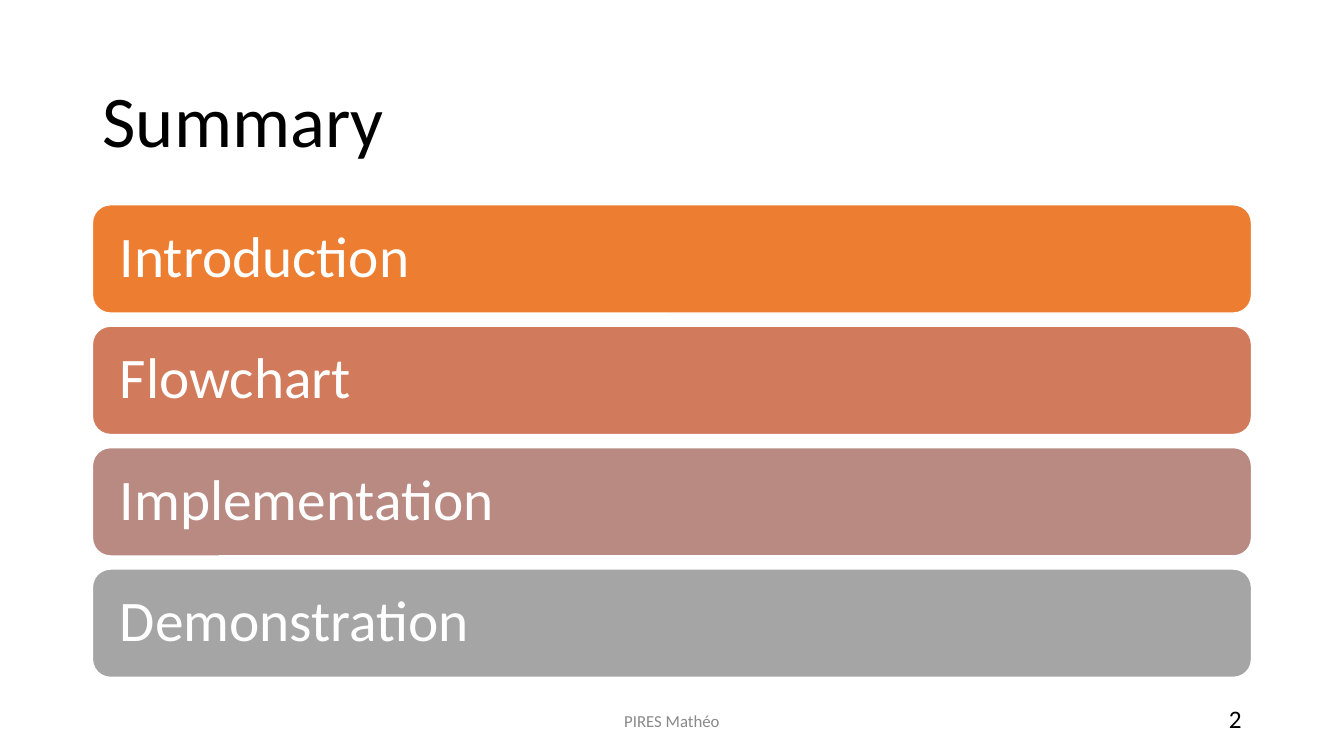
from dataclasses import dataclass

from pptx import Presentation
from pptx.dml.color import RGBColor
from pptx.enum.shapes import MSO_SHAPE
from pptx.enum.text import MSO_ANCHOR, MSO_AUTO_SIZE, PP_ALIGN
from pptx.slide import Slide
from pptx.text.text import TextFrame
from pptx.util import Cm, Pt

FONT = "Calibri"
BLACK = RGBColor(0x00, 0x00, 0x00)
WHITE = RGBColor(0xFF, 0xFF, 0xFF)
FOOTER_GREY = RGBColor(0x89, 0x89, 0x89)
ORANGE = RGBColor(0xED, 0x7D, 0x31)
TERRACOTTA = RGBColor(0xD1, 0x7B, 0x5C)
DUSTY_ROSE = RGBColor(0xB9, 0x8A, 0x82)
GREY = RGBColor(0xA5, 0xA5, 0xA5)

# Content column and the rhythm of the topic bars, in cm
LEFT, WIDTH = 2.33, 29.21
BARS_TOP, BAR_HEIGHT, BAR_PITCH = 5.16, 2.73, 3.06
BAR_INSET = 0.56
FOOTER_TOP, FOOTER_HEIGHT = 17.65, 1.01


@dataclass(frozen=True)
class Topic:
    label: str
    fill: RGBColor


@dataclass(frozen=True)
class FooterItem:
    text: str
    left: float
    width: float
    size: float
    color: RGBColor
    align: PP_ALIGN
    line_spacing: float


TOPICS = [
    Topic("Introduction", ORANGE),
    Topic("Flowchart", TERRACOTTA),
    Topic("Implementation", DUSTY_ROSE),
    Topic("Demonstration", GREY),
]

FOOTER_ITEMS = [
    FooterItem("PIRES Mathéo", 11.22, 11.43, 12, FOOTER_GREY, PP_ALIGN.CENTER, 1.0),
    FooterItem("2", 23.92, 7.62, 18, BLACK, PP_ALIGN.RIGHT, 0.9),
]


def set_line(frame: TextFrame, text: str, size: float, color: RGBColor,
             align: PP_ALIGN = PP_ALIGN.LEFT, line_spacing: float = 0.9) -> None:
    """Fill a frame with one vertically centred, formatted line."""
    frame.text = text
    frame.word_wrap = True
    frame.auto_size = MSO_AUTO_SIZE.NONE
    frame.vertical_anchor = MSO_ANCHOR.MIDDLE
    line = frame.paragraphs[0]
    line.alignment = align
    line.line_spacing = line_spacing
    font = line.runs[0].font
    font.name = FONT
    font.size = Pt(size)
    font.color.rgb = color


def add_title(slide: Slide, text: str) -> None:
    title = slide.shapes.title
    title.left, title.top = Cm(LEFT), Cm(1.55)
    title.width, title.height = Cm(WIDTH), Cm(3.15)
    set_line(title.text_frame, text, 52, BLACK)


def add_topic_bar(slide: Slide, topic: Topic, row: int) -> None:
    bar = slide.shapes.add_shape(
        MSO_SHAPE.ROUNDED_RECTANGLE, Cm(LEFT), Cm(BARS_TOP + row * BAR_PITCH),
        Cm(WIDTH), Cm(BAR_HEIGHT))
    bar.shadow.inherit = False
    bar.fill.solid()
    bar.fill.fore_color.rgb = topic.fill
    bar.line.color.rgb = WHITE
    bar.line.width = Pt(1)
    frame = bar.text_frame
    frame.margin_left = frame.margin_right = Cm(BAR_INSET)
    frame.margin_top = frame.margin_bottom = Cm(BAR_INSET)
    set_line(frame, topic.label, 41, WHITE)


def add_footer_item(slide: Slide, item: FooterItem) -> None:
    footer = slide.shapes.add_textbox(
        Cm(item.left), Cm(FOOTER_TOP), Cm(item.width), Cm(FOOTER_HEIGHT))
    set_line(footer.text_frame, item.text, item.size, item.color,
             item.align, item.line_spacing)
    footer.text_frame.paragraphs[0].space_after = Pt(6)


def main() -> None:
    deck = Presentation()
    deck.slide_width, deck.slide_height = Cm(33.87), Cm(19.05)
    title_only = deck.slide_layouts.get_by_name("Title Only")
    summary = deck.slides.add_slide(title_only)

    # Heading
    add_title(summary, "Summary")

    # Author and page number
    for item in FOOTER_ITEMS:
        add_footer_item(summary, item)

    # Agenda
    for row, topic in enumerate(TOPICS):
        add_topic_bar(summary, topic, row)

    deck.save("out.pptx")


if __name__ == "__main__":
    main()
